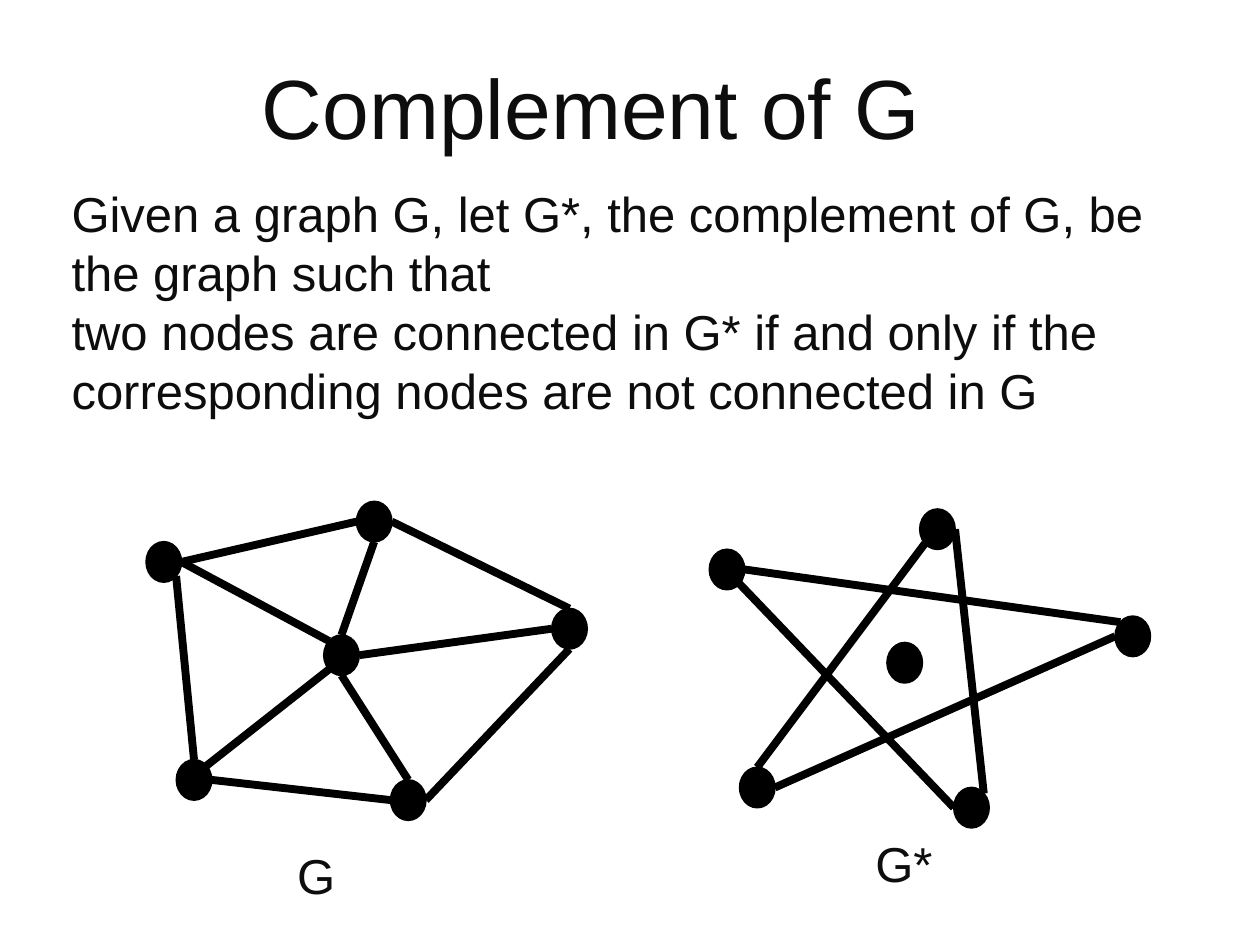
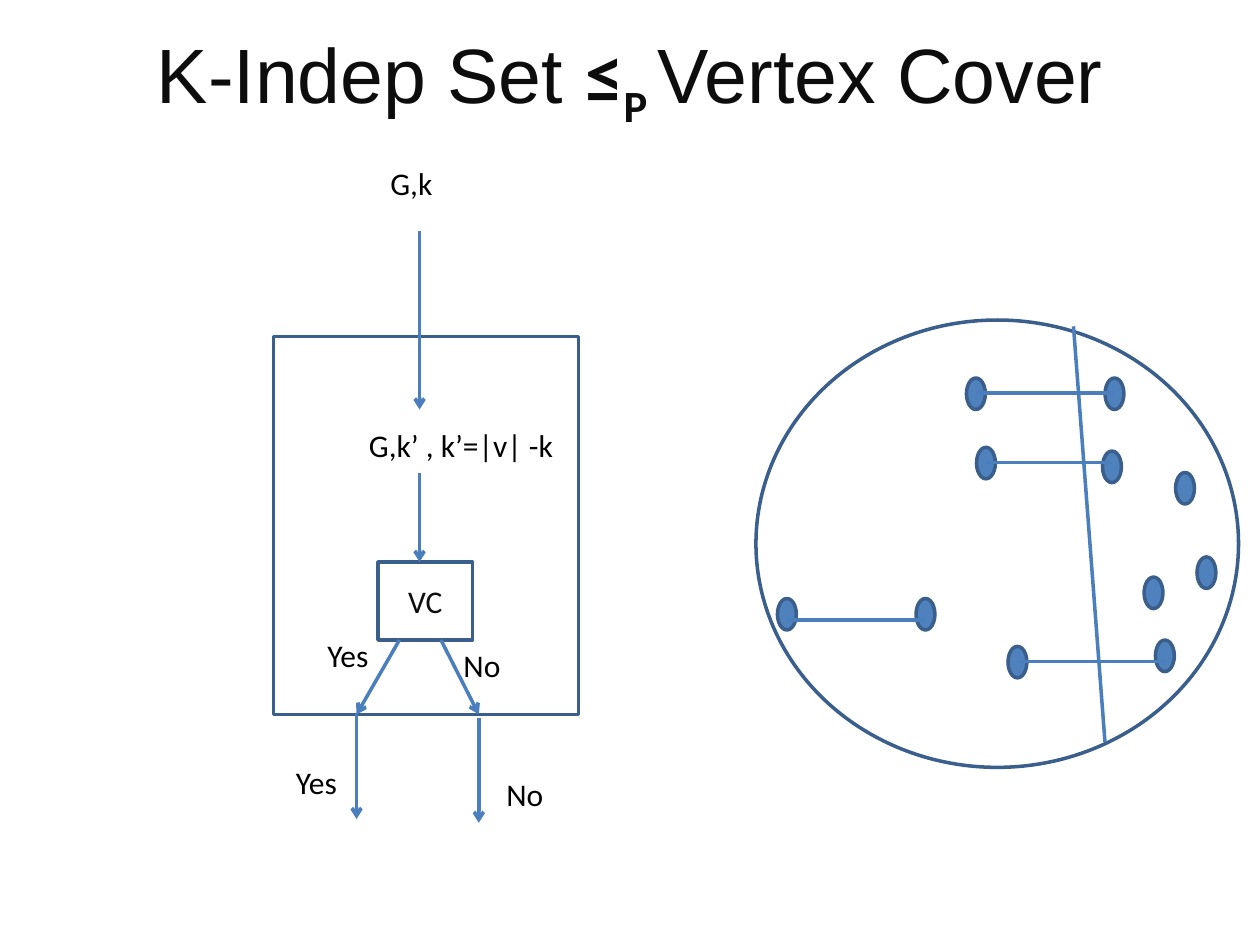
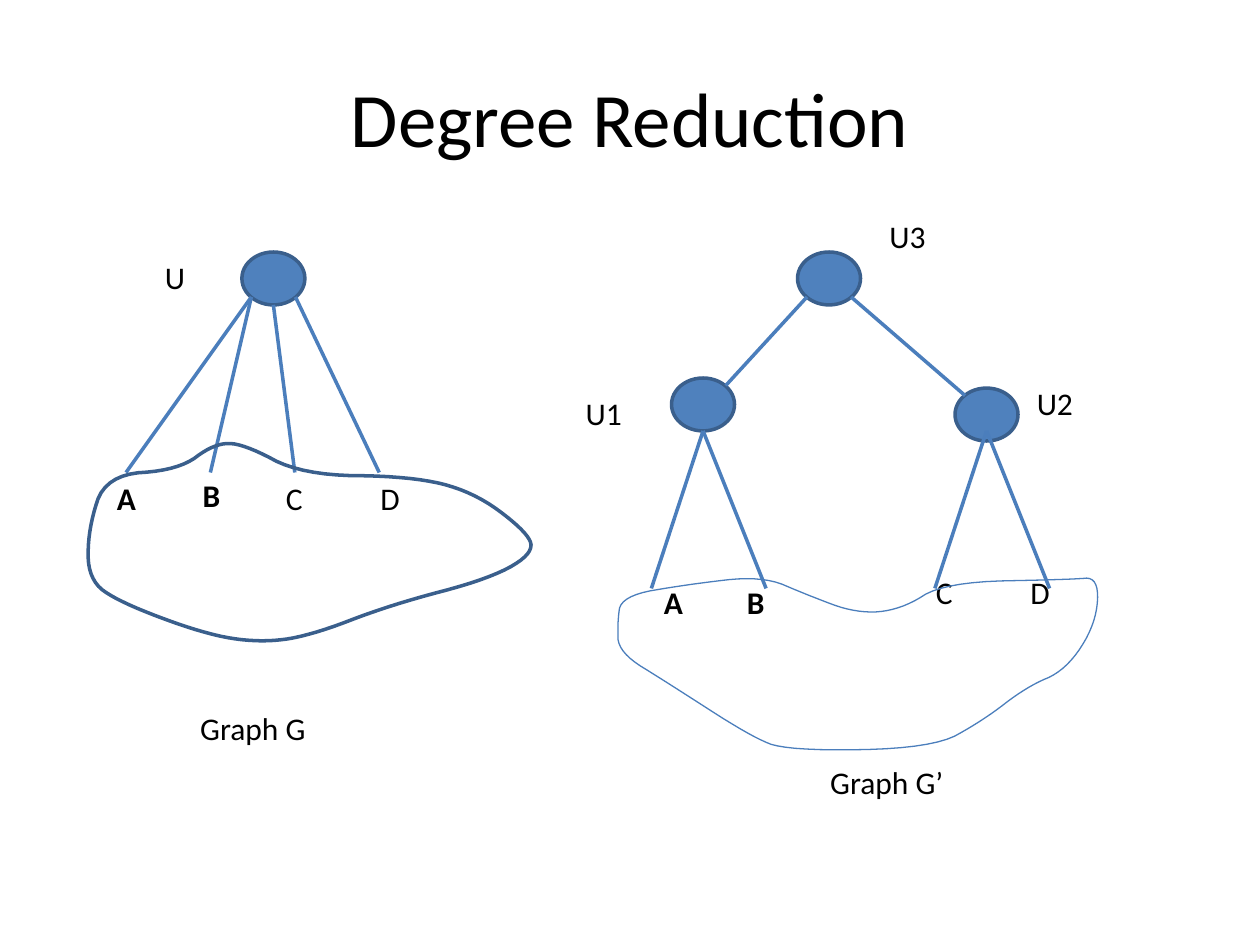
from dataclasses import dataclass

from lxml import etree
from pptx import Presentation
from pptx import util as u
from pptx.dml.color import RGBColor
from pptx.enum import shapes, text
from pptx.oxml.ns import qn


@dataclass(frozen=True)
class Theme:
    black: str = "000000"
    ink: str = "0D0D0D"
    node: str = "4F81BD"
    border: str = "3A5F8C"
    edge: str = "4B7EBC"
    heading: str = "Arial"
    body: str = "Calibri"
    big_title: int = 48
    title: int = 44
    statement: int = 28
    label: int = 18
    line: float = 2
    thick: float = 4.5
    thin: float = 0.75


theme = Theme()
OVAL, BOX = shapes.MSO_SHAPE.OVAL, shapes.MSO_SHAPE.RECTANGLE
LINE, BLOB = "line", "blob"
CENTER, MIDDLE = text.PP_ALIGN.CENTER, text.MSO_ANCHOR.MIDDLE
ROUNDING_PASSES = 3

# Points on an ellipse, as shares of its width and height
COMPASS = {
    "n": (0.5, 0), "s": (0.5, 1), "w": (0, 0.5), "e": (1, 0.5),
    "nw": (0.15, 0.15), "ne": (0.85, 0.15),
    "sw": (0.15, 0.85), "se": (0.85, 0.85),
}

prs = Presentation()
prs.slide_width, prs.slide_height = u.Inches(10), u.Inches(7.5)
CELL = prs.slide_width // 10  # square grid: 10 columns by 7.5 rows


def draw(slide, kind, place, ink=theme.edge, width=theme.line, fill=None, arrow=False):
    """Place is in grid cells: two ends of a line, a box, or the corners of a blob."""
    if kind == BLOB:
        # Each pass cuts every corner a quarter of the way along both its sides
        for _ in range(ROUNDING_PASSES):
            place = [(x + share * (next_x - x), y + share * (next_y - y))
                     for (x, y), (next_x, next_y) in zip(place, place[1:] + place[:1])
                     for share in (0.25, 0.75)]
        points = [(x * CELL, y * CELL) for x, y in place]
        pen = slide.shapes.build_freeform(*points[0])
        pen.add_line_segments(points[1:], close=True)
        part = pen.convert_to_shape()
    else:
        lengths = [round(value * CELL) for value in place]
        if kind == LINE:
            part = slide.shapes.add_connector(shapes.MSO_CONNECTOR.STRAIGHT, *lengths)
        else:
            part = slide.shapes.add_shape(kind, *lengths)
    part.line.color.rgb = RGBColor.from_string(ink)
    part.line.width = u.Pt(width)
    if kind == LINE:
        if arrow:
            etree.SubElement(part.line._get_or_add_ln(), qn("a:tailEnd"), type="arrow")
        etree.SubElement(part.element.spPr, qn("a:effectLst"))
        return part
    part.shadow.inherit = False
    if fill:
        part.fill.solid()
        part.fill.fore_color.rgb = RGBColor.from_string(fill)
    else:
        part.fill.background()
    return part


def write(slide, place, runs, size=theme.label, color=theme.black, font=theme.body,
          align=None, anchor=None, wrap=True, before=0, host=None):
    """Each run is its wording and a dict of font values; a newline breaks the line."""
    host = host or slide.shapes.add_textbox(*[round(value * CELL) for value in place])
    frame = host.text_frame
    for key, value in {"word_wrap": wrap, "vertical_anchor": anchor}.items():
        setattr(frame, key, value)
    paragraph = frame.paragraphs[0]
    paragraph.alignment, paragraph.space_before = align, u.Pt(before)
    for wording, look in [(runs, {})] if isinstance(runs, str) else runs:
        for i, piece in enumerate(wording.split("\n")):
            if i:
                paragraph.add_line_break()
            run = paragraph.add_run()
            run.text = piece
            values = {"name": font, "size": u.Pt(size), "bold": False, **look}
            baseline = values.pop("baseline", None)
            for key, value in values.items():
                setattr(run.font, key, value)
            run.font.color.rgb = RGBColor.from_string(color)
            if baseline:
                run._r.get_or_add_rPr().set("baseline", baseline)


complement, reduction, degree = [
    prs.slides.add_slide(prs.slide_layouts[6]) for _ in range(3)]

# Slide 1: a graph and its complement
for place, wording, size, wrap in [
    ((1.98, 0.39, 5.46, 0.9), "Complement of G", theme.big_title, False),
    ((0.47, 1.41, 9.03, 1.97),
     "Given a graph G, let G*, the complement of G, be the graph such that \n"
     "two nodes are connected in G* if and only if the corresponding nodes "
     "are not connected in G", theme.statement, True),
    ((2.26, 6.66, 0.51, 0.57), "G", theme.statement, False),
    ((6.85, 6.57, 0.67, 0.57), "G*", theme.statement, False),
]:
    write(complement, place, wording, size, theme.ink, theme.heading,
          wrap=wrap, before=4)

VERTEX_W, VERTEX_H = 0.28, 0.32
vertices = {
    "low right": (3.1, 6.19), "low left": (1.4, 6.03), "left": (1.16, 4.3),
    "top": (2.83, 3.98), "right": (4.38, 4.83), "hub": (2.57, 5.04),
}
# Each edge: a vertex and the side it leaves, a vertex and the side it meets
graph_edges = [
    ("left", "se", "low left", "n"), ("left", "e", "top", "w"),
    ("hub", "e", "right", "w"), ("low left", "e", "low right", "w"),
    ("top", "e", "right", "n"), ("right", "s", "low right", "e"),
    ("hub", "n", "top", "s"), ("hub", "nw", "left", "e"),
    ("hub", "sw", "low left", "ne"), ("hub", "s", "low right", "n"),
]
complement_edges = [
    ("top", "sw", "low left", "n"), ("left", "e", "right", "nw"),
    ("left", "se", "low right", "w"), ("top", "e", "low right", "ne"),
    ("low left", "e", "right", "w"),
]
for shift_x, shift_y, edges in [(0, 0, graph_edges), (4.47, 0.06, complement_edges)]:
    spots = {name: (x + shift_x, y + shift_y) for name, (x, y) in vertices.items()}
    for spot in spots.values():
        draw(complement, OVAL, (*spot, VERTEX_W, VERTEX_H), theme.black, 1, theme.black)
    for start, start_side, end, end_side in edges:
        ends = []
        for name, side in [(start, start_side), (end, end_side)]:
            ends += [spots[name][0] + VERTEX_W * COMPASS[side][0],
                     spots[name][1] + VERTEX_H * COMPASS[side][1]]
        draw(complement, LINE, ends, theme.black, theme.thick)

# Slide 2, left: the reduction as a machine around a vertex cover solver
machine_top, machine_bottom = 2.67, 5.67
solver_top, solver_bottom = 4.46, 5.08
input_x, yes_x, no_x = 3.33, 2.83, 3.8
draw(reduction, BOX, (2.17, machine_top, 2.42, machine_bottom - machine_top),
     theme.border)
solver = draw(reduction, BOX, (3, solver_top, 0.75, solver_bottom - solver_top),
              theme.border)
write(reduction, None, "VC", color=theme.ink, align=CENTER, anchor=MIDDLE, host=solver)

for x, top, bottom in [(input_x, 1.83, 3.25), (input_x, 3.75, solver_top)]:
    draw(reduction, LINE, (x, top, x, bottom), arrow=True)
ANSWER_LENGTH = 0.83
for solver_x, answer_x, exit_y in [(3.17, yes_x, machine_bottom),
                                   (3.5, no_x, machine_bottom + 0.03)]:
    draw(reduction, LINE, (solver_x, solver_bottom, answer_x, machine_bottom), arrow=True)
    draw(reduction, LINE, (answer_x, exit_y, answer_x, exit_y + ANSWER_LENGTH), arrow=True)

for wording, width, corners in [
    ("G,k", 1.58, [(3, 1.25)]),
    ("G,k’ , k’=|v| -k", 1.83, [(2.83, 3.33)]),
    ("Yes", 0.92, [(2.5, 5), (2.25, 6.01)]),
    ("No", 0.92, [(3.58, 5.08), (3.92, 6.1)]),
]:
    for corner in corners:
        write(reduction, (*corner, width, 0.4), wording)
symbol = {"name": theme.body, "bold": True}
write(reduction, (0.75, 0, 8.5, 1.25),
      [("K-Indep Set ", {}), ("≤", symbol),
       ("P ", {**symbol, "baseline": "-25000"}), ("Vertex Cover", {})],
      theme.title, theme.ink, theme.heading, CENTER, MIDDLE)

# Slide 2, right: a graph cut into a cover and an independent set
DOT_W, DOT_H = 0.15, 0.25
draw(reduction, OVAL, (6, 2.54, 3.83, 3.55), theme.border)
draw(reduction, LINE, (8.52, 2.59, 8.77, 5.89))
linked_dots = [  # left dot, right dot, height of the edge between them
    ((7.67, 3), (8.77, 3), 3.12), ((7.75, 3.55), (8.75, 3.58), 3.67),
    ((8, 5.13), (9.17, 5.08), 5.25), ((6.17, 4.75), (7.27, 4.75), 4.92),
]
lone_dots = [(9.33, 3.75), (9.5, 4.42), (9.08, 4.58)]
for dot in lone_dots + [dot for *pair, _ in linked_dots for dot in pair]:
    draw(reduction, OVAL, (*dot, DOT_W, DOT_H), theme.border, fill=theme.node)
for (left, _), (right, _), level in linked_dots:
    draw(reduction, LINE, (left + DOT_W / 2, level, right + DOT_W / 2, level))

# Slide 3: splitting a high-degree vertex
write(degree, (0.5, 0.3, 9, 1.25), "Degree Reduction", theme.title,
      align=CENTER, anchor=MIDDLE)
HUB_W, HUB_H = 0.5, 0.42
hubs = {"U": (1.92, 2), "U3": (6.33, 2), "U1": (5.33, 3), "U2": (7.58, 3.08)}
hub_labels = {"U": (1.21, 2), "U3": (6.96, 1.67), "U1": (4.55, 3.08), "U2": (8.13, 3)}
for name, spot in hubs.items():
    draw(degree, OVAL, (*spot, HUB_W, HUB_H), theme.border, fill=theme.node)
    write(degree, (*hub_labels[name], 0.62, HUB_H), name)

spokes = [("U", side, (1 + i * 0.67, 3.75))
          for i, side in enumerate(("sw", "sw", "s", "se"))]
branches = [("U3", "sw", (5.76, 3.06)), ("U3", "se", (7.66, 3.14))]
for hub, side, end in spokes + branches:
    (x, y), (across, down) = hubs[hub], COMPASS[side]
    draw(degree, LINE, (x + HUB_W * across, y + HUB_H * down, *end))
for fork in ("U1", "U2"):
    x = hubs[fork][0] + HUB_W / 2
    for reach in (-0.41, 0.5):
        draw(degree, LINE, (x, 3.42, x + reach, 4.67))

neighbours = {"A": True, "B": True, "C": False, "D": False}  # name: bold or not
for corners in [
    [(0.83, 3.75), (1.51, 3.73), (2.17, 3.75), (2.92, 3.75)],
    [(5.17, 4.58), (5.83, 4.58), (7.33, 4.5), (8.08, 4.5)],
]:
    for corner, (name, bold) in zip(corners, neighbours.items()):
        write(degree, (*corner, 0.75, 0.42), [(name, {"bold": bold})])
for corner, caption in [((1.49, 5.58), "Graph G"), ((6.49, 6.01), "Graph G’")]:
    write(degree, (*corner, 1.18, 0.4), caption)

# The rest of each graph is a blob, given by the few corners of its sides
graph_g = {
    "top": [(3.26, 3.78), (2.4, 3.77), (1.93, 3.52), (1.7, 3.52), (1.42, 3.73)],
    "left": [(0.84, 3.77), (0.7, 4.2), (0.7, 4.6)],
    "bottom": [(0.95, 4.78), (1.62, 5.03), (2.05, 5.1), (2.45, 5.05)],
    "right": [(3.1, 4.8), (3.9, 4.59), (4.25, 4.38), (4.16, 4.2), (3.75, 3.9)],
}
graph_g_prime = {
    "top": [(8.72, 4.58), (8.5, 4.6), (7.5, 4.62), (7.15, 4.84), (6.8, 4.87),
            (6.4, 4.72), (6.05, 4.57), (5.45, 4.64)],
    "left": [(4.93, 4.73), (4.9, 4.95), (4.91, 5.18)],
    "bottom": [(5.3, 5.42), (5.95, 5.84), (6.25, 5.96), (7.4, 5.94)],
    "right": [(7.8, 5.72), (8.15, 5.45), (8.46, 5.32), (8.7, 4.95)],
}
for sides, ink, width in [(graph_g, theme.border, theme.line),
                          (graph_g_prime, theme.edge, theme.thin)]:
    draw(degree, BLOB, sum(sides.values(), []), ink, width)

prs.save("out.pptx")
